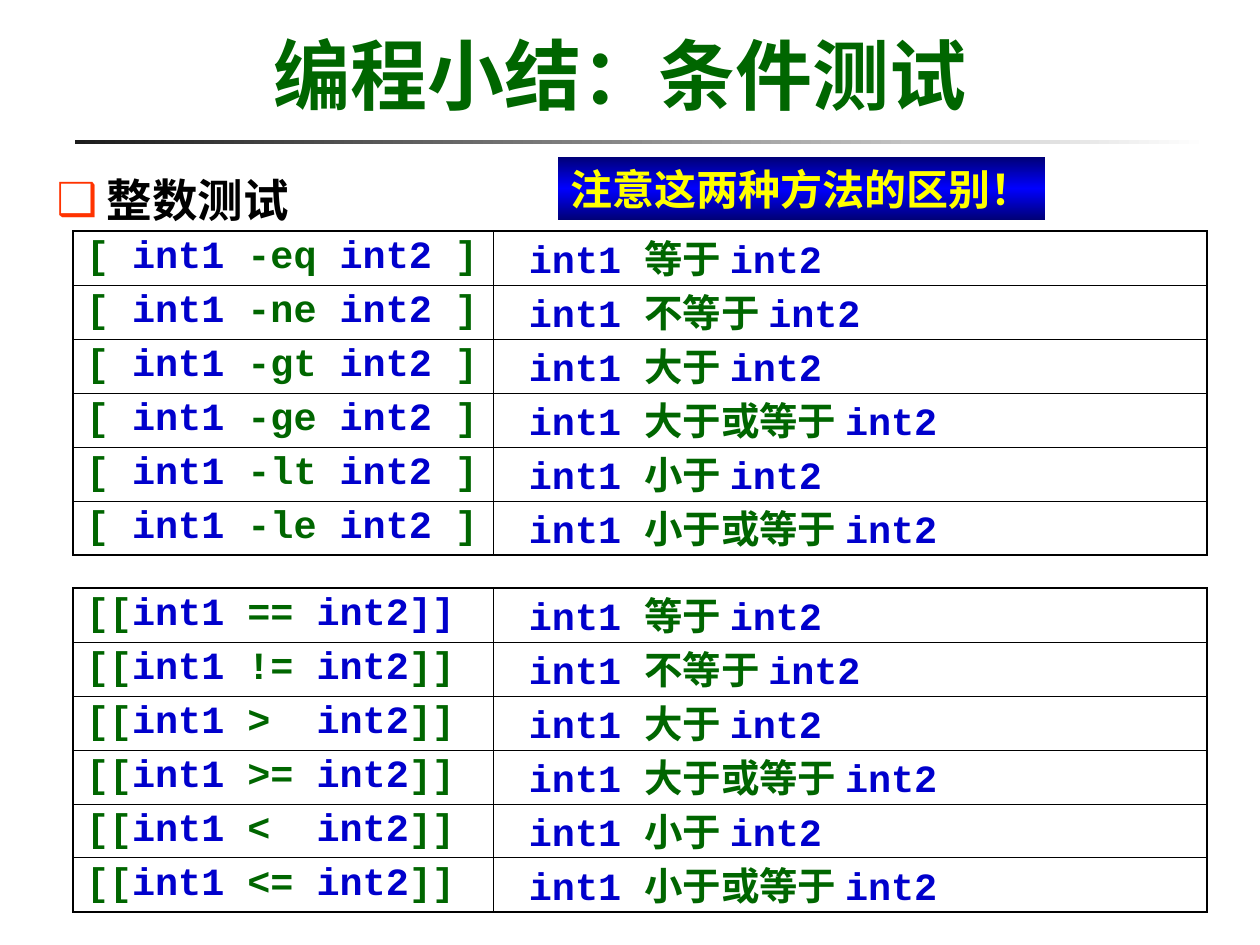
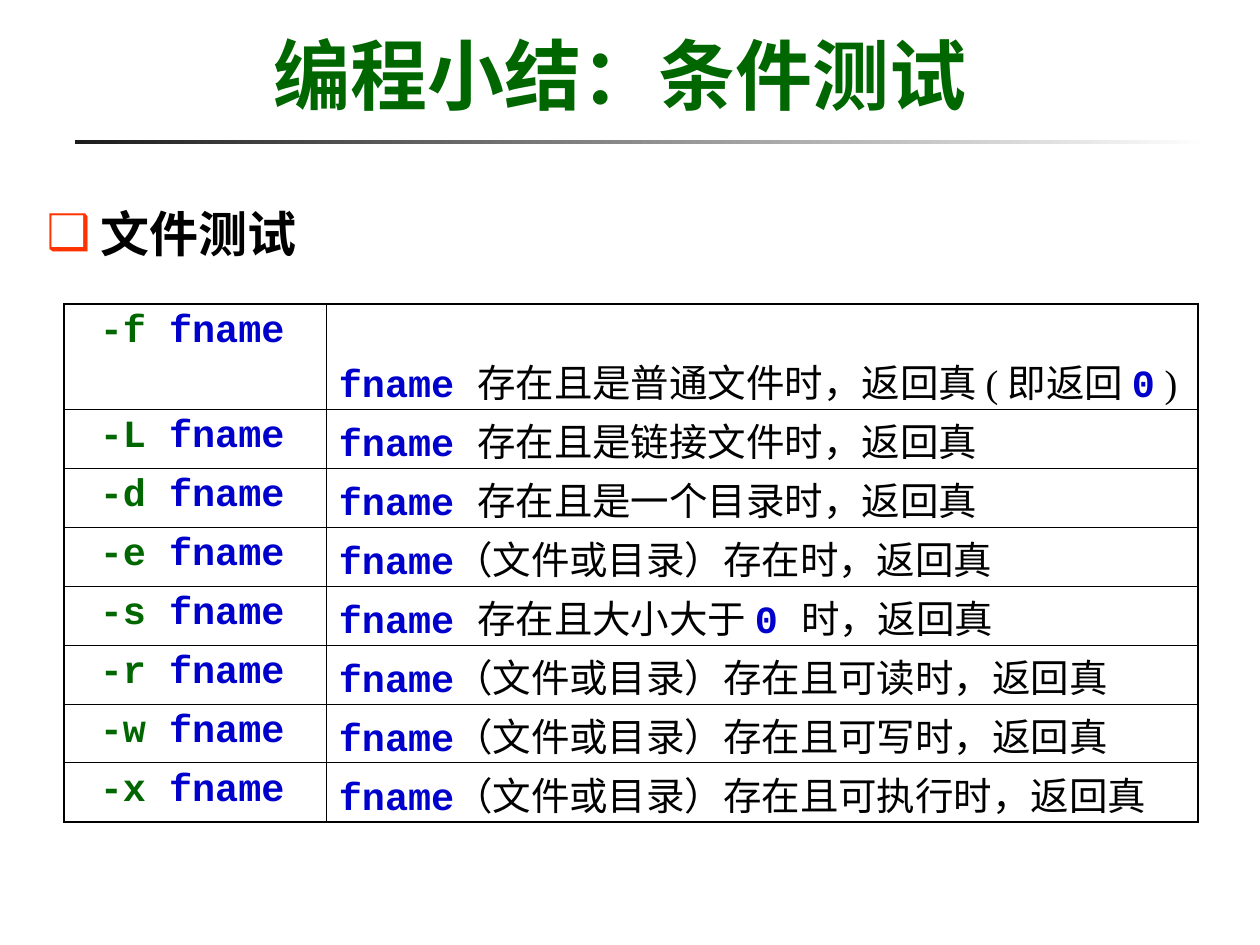
"""Build two slides summarising shell condition tests for integers and files."""
from typing import NamedTuple

from lxml import etree
from pptx import Presentation
from pptx import util as u
from pptx.dml.color import RGBColor
from pptx.enum import shapes, text
from pptx.oxml.ns import qn

PX = 914400 / 126
COLORS = {
    "green": "006600", "blue": "0000CC", "black": "000000", "orange": "FF3300",
    "yellow": "FFFF00", "charcoal": "1C1C1C", "white": "FFFFFF",
    "navy": "000076", "bright": "0000FF",
}
CODE, PROSE, CJK = "Courier New", "Times New Roman", "Noto Sans CJK SC"
OUTER, INNER = 1.08, 0.45


class Box(NamedTuple):
    left: int
    top: int
    width: int
    height: int


class Span(NamedTuple):
    text: str
    color: str
    font: str = CODE
    bold: bool = True


class Heading(NamedTuple):
    words: str
    box: Box
    size: int
    indent: int


class Grid(NamedTuple):
    box: Box
    columns: tuple[int, int]
    heights: list[int]
    rows: list[tuple[list[Span], list[Span]]]
    insets: tuple[int, int]
    spacings: tuple[float | u.Pt, float | u.Pt]


COMPARISONS = [
    ("-eq", "==", "等于"), ("-ne", "!=", "不等于"), ("-gt", "> ", "大于"),
    ("-ge", ">=", "大于或等于"), ("-lt", "< ", "小于"), ("-le", "<=", "小于或等于"),
]
FILE_TESTS = [
    ("-L", " ", "存在且是链接文件时，返回真"),
    ("-d", " ", "存在且是一个目录时，返回真"),
    ("-e", "", "（文件或目录）存在时，返回真"),
    ("-s", " ", "存在且大小大于 |0 |时，返回真"),
    ("-r", "", "（文件或目录）存在且可读时，返回真"),
    ("-w", "", "（文件或目录）存在且可写时，返回真"),
    ("-x", "", "（文件或目录）存在且可执行时，返回真"),
]
FILE_TESTS.insert(0, ("-f", " ", "存在且是普通文件时，返回真 ( 即返回 |0| )"))


def px(length: int) -> u.Emu:
    """Turn pixels into EMU."""
    return u.Emu(round(length * PX))


def rgb(name: str) -> RGBColor:
    """Look up a named colour."""
    return RGBColor.from_string(COLORS[name])


def place(shape, box: Box) -> None:
    """Move and size a shape."""
    shape.left, shape.top, shape.width, shape.height = map(px, box)


def write(para, spans: list[Span], size: int) -> None:
    """Add formatted runs to a paragraph."""
    for span in spans:
        run = para.add_run()
        run.text = span.text
        font = run.font
        font.size, font.bold, font.name = u.Pt(size), span.bold, span.font
        font.color.rgb = rgb(span.color)
        east = etree.SubElement(run._r.get_or_add_rPr(), qn("a:ea"))
        east.set("typeface", CJK)


def add_gradient_bar(page, box: Box, angle: int, colors: list[str]):
    """Draw a borderless rectangle with evenly spaced gradient stops."""
    bar = page.shapes.add_shape(shapes.MSO_SHAPE.RECTANGLE, *map(px, box))
    bar.shadow.inherit = False
    bar.line.fill.background()
    bar.fill.gradient()
    bar.fill.gradient_angle = angle
    stops = bar._element.spPr.find(qn("a:gradFill")).find(qn("a:gsLst"))
    for stop in list(stops):
        stops.remove(stop)
    for index, color in enumerate(colors):
        stop = etree.SubElement(stops, qn("a:gs"))
        stop.set("pos", str(100000 * index // (len(colors) - 1)))
        etree.SubElement(stop, qn("a:srgbClr")).set("val", COLORS[color])
    return bar


def add_bullet(para, indent: int) -> None:
    """Give a paragraph the orange square bullet and a hanging indent."""
    props = para._p.get_or_add_pPr()
    props.set("marL", str(px(indent)))
    props.set("indent", str(-px(indent)))
    color = etree.SubElement(props, qn("a:buClr"))
    etree.SubElement(color, qn("a:srgbClr")).set("val", COLORS["orange"])
    etree.SubElement(props, qn("a:buChar")).set("char", "❑")


def add_page(deck, heading: Heading):
    """Add a slide with the shared title and rule and its own heading."""
    page = deck.slides.add_slide(deck.slide_layouts[1])
    add_gradient_bar(page, Box(75, 140, 1134, 4), 0, ["charcoal", "white"])

    title = page.shapes.title
    place(title, Box(179, 16, 882, 106))
    frame = title.text_frame
    frame.auto_size = text.MSO_AUTO_SIZE.NONE
    frame.vertical_anchor = text.MSO_ANCHOR.BOTTOM
    frame.margin_top, frame.margin_bottom = 0, px(2)
    para = frame.paragraphs[0]
    para.alignment = text.PP_ALIGN.CENTER
    write(para, [Span("编程小结：", "green", CJK), Span("条件测试", "green")], 44)

    body = page.placeholders[1]
    place(body, heading.box)
    body.text_frame.auto_size = text.MSO_AUTO_SIZE.NONE
    para = body.text_frame.paragraphs[0]
    para.line_spacing = 1.2
    para.space_before = 0
    add_bullet(para, heading.indent)
    write(para, [Span(heading.words, "black", PROSE)], heading.size)
    return page


def add_borders(cell, widths: dict[str, float]) -> None:
    """Draw the four black borders of a cell."""
    props = cell._tc.get_or_add_tcPr()
    for side, width in widths.items():
        line = etree.SubElement(props, qn(f"a:ln{side}"))
        line.set("w", str(u.Pt(width)))
        fill = etree.SubElement(line, qn("a:solidFill"))
        etree.SubElement(fill, qn("a:srgbClr")).set("val", COLORS["black"])


def add_grid(page, grid: Grid) -> None:
    """Draw a two-column table of tests and their meanings."""
    last = len(grid.rows) - 1
    table = page.shapes.add_table(last + 1, 2, *map(px, grid.box)).table
    table.first_row = table.horz_banding = False
    for column, width in zip(table.columns, grid.columns):
        column.width = px(width)
    for r, (row, height) in enumerate(zip(grid.rows, grid.heights)):
        table.rows[r].height = px(height)
        for c, spans in enumerate(row):
            cell = table.cell(r, c)
            add_borders(cell, {
                "L": INNER if c else OUTER, "R": OUTER if c else INNER,
                "T": INNER if r else OUTER, "B": OUTER if r == last else INNER,
            })
            cell.fill.background()
            cell.margin_left = px(grid.insets[c])
            if c:
                cell.margin_top = cell.margin_bottom = 0
                cell.vertical_anchor = text.MSO_ANCHOR.BOTTOM
            para = cell.text_frame.paragraphs[0]
            para.line_spacing = grid.spacings[c]
            write(para, spans, 22)


def add_banner(page, words: str, box: Box) -> None:
    """Draw the highlighted notice."""
    banner = add_gradient_bar(page, box, 90, ["navy", "bright", "navy"])
    frame = banner.text_frame
    frame.word_wrap = False
    frame.vertical_anchor = text.MSO_ANCHOR.MIDDLE
    para = frame.paragraphs[0]
    para.alignment = text.PP_ALIGN.LEFT
    write(para, [Span(words, "yellow")], 24)


def meaning(words: str) -> list[Span]:
    """Spell out what an integer comparison means."""
    return [Span("int1 ", "blue"), Span(f"{words} ", "green"), Span("int2", "blue")]


def comparison(start: str, operator: str, end: str, end_color: str) -> list[Span]:
    """Write an integer comparison as code."""
    gap = " " if end == "]" else ""
    return [Span(start, "green"), Span("int1 ", "blue"), Span(f"{operator} ", "green"),
            Span(f"int2{gap}", "blue"), Span(end, end_color)]


def file_meaning(gap: str, words: str) -> list[Span]:
    """Explain a file test, with the digits between bars as code."""
    spans = [Span(f"fname{gap}", "blue")]
    for index, part in enumerate(words.split("|")):
        spans.append(Span(part, "blue") if index % 2 else Span(part, "black", PROSE, False))
    return spans


def main() -> None:
    """Build and save the deck."""
    deck = Presentation()
    deck.slide_width, deck.slide_height = px(1260), px(945)

    page = add_page(deck, Heading("整数测试", Box(44, 155, 442, 78), 26, 50))
    single = [(comparison("[ ", old, "]", "green"), meaning(words))
              for old, _, words in COMPARISONS]
    double = [(comparison("[[", new, "]]", "green" if index else "blue"), meaning(words))
              for index, (_, new, words) in enumerate(COMPARISONS)]
    for top, rows in ((231, single), (588, double)):
        add_grid(page, Grid(Box(73, top, 1134, 324), (420, 714), [54] * 6, rows,
                            (13, 36), (0.9, u.Pt(30))))
    add_banner(page, "注意这两种方法的区别！", Box(558, 157, 487, 63))

    page = add_page(deck, Heading("文件测试", Box(34, 185, 725, 83), 28, 54))
    rows = [([Span(f"{flag} ", "green"), Span("fname", "blue")], file_meaning(gap, words))
            for flag, gap, words in FILE_TESTS]
    add_grid(page, Grid(Box(64, 304, 1134, 518), (262, 872), [105] + [59] * 7, rows,
                        (36, 13), (1.0, 1.0)))
    deck.save("out.pptx")


if __name__ == "__main__":
    main()
